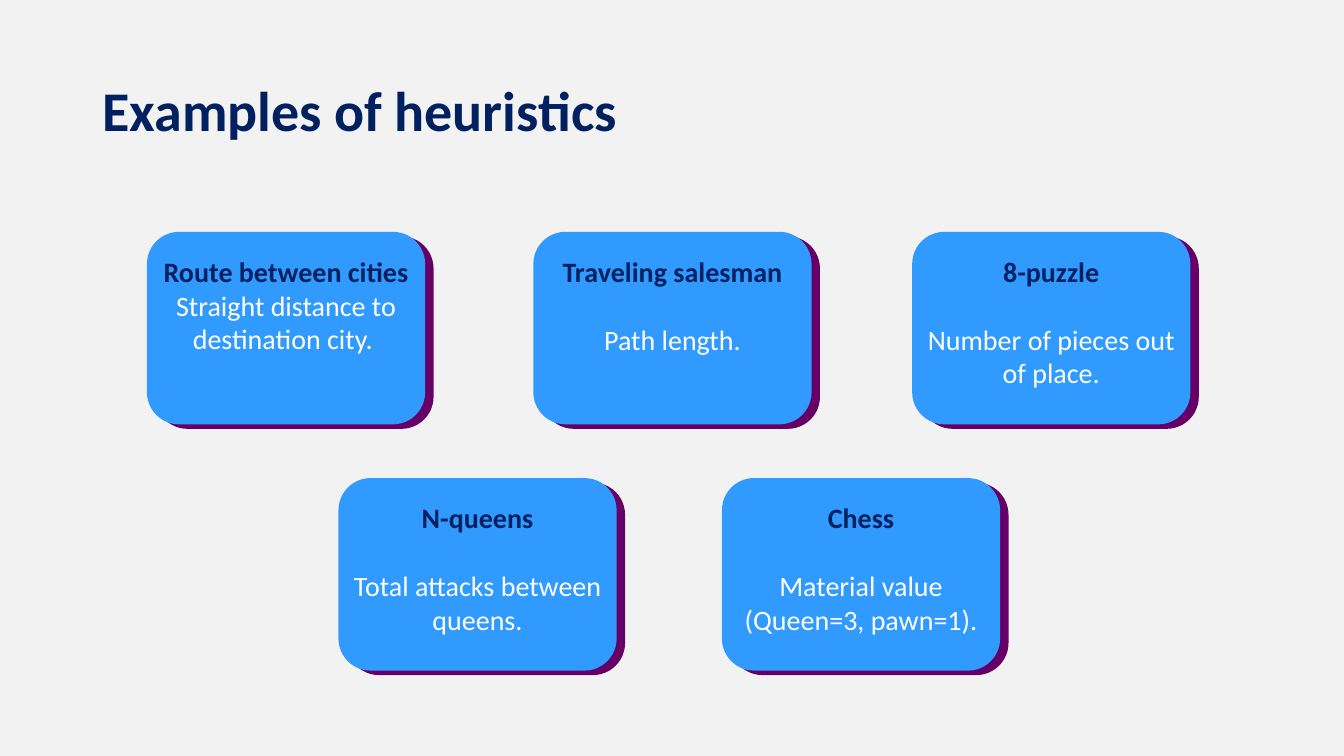
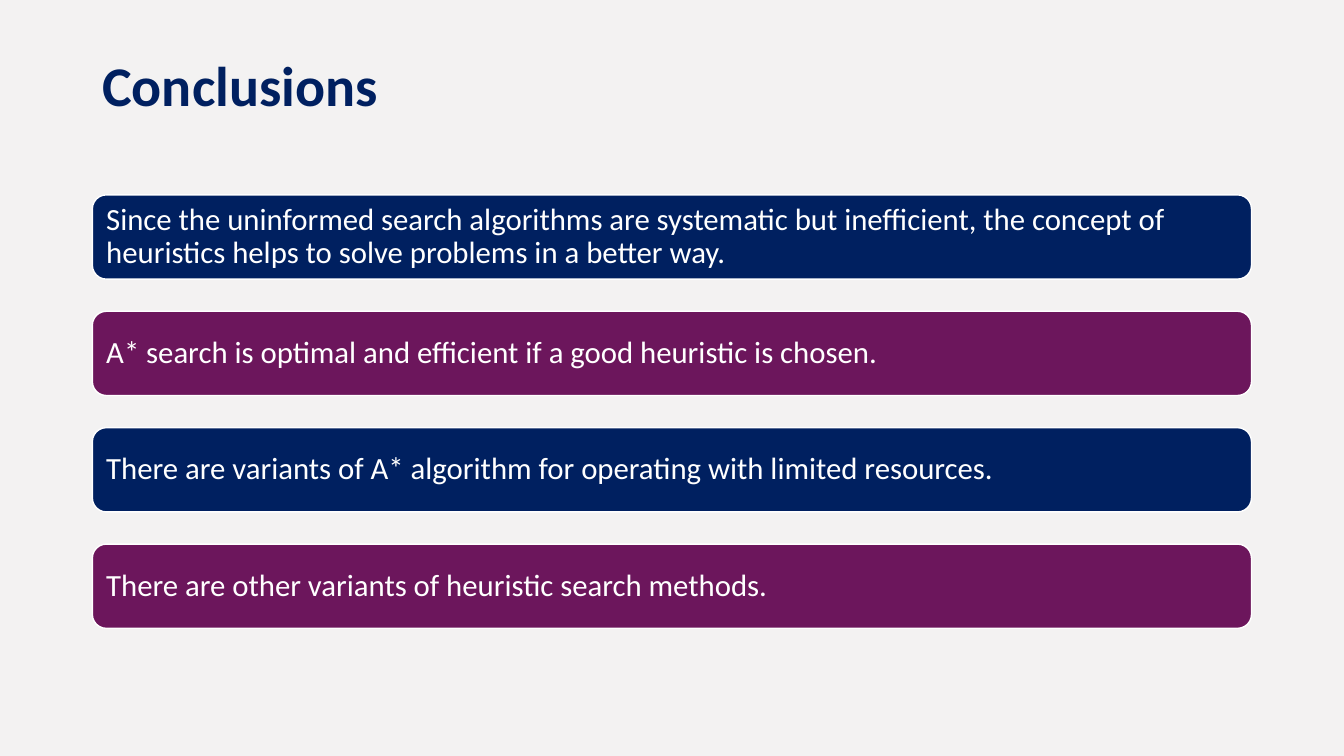
from pptx import Presentation
from pptx.dml.color import RGBColor
from pptx.enum.shapes import MSO_SHAPE
from pptx.enum.text import MSO_ANCHOR, PP_ALIGN
from pptx.util import Pt

FONT = "Calibri"
BACKGROUND = "F3F2F2"
NAVY = "002060"
BLUE = "309AFF"
PURPLE = "660066"
PLUM = "6C165C"
WHITE = "FFFFFF"


def paint(color_format, value):
    color_format.rgb = RGBColor.from_string(value)


def add_box(slide, left, top, width, height, color):
    shape = slide.shapes.add_shape(
        MSO_SHAPE.ROUNDED_RECTANGLE, Pt(left), Pt(top), Pt(width), Pt(height))
    shape.shadow.inherit = False
    shape.fill.solid()
    paint(shape.fill.fore_color, color)
    shape.line.fill.background()
    return shape


presentation = Presentation()
presentation.slide_width = Pt(960)
presentation.slide_height = Pt(540)

slides = []
for title, title_top, title_height in [
    ("Examples of heuristics", 28.8, 104.4),
    ("Conclusions", 29.5, 67.7),
]:
    slide = presentation.slides.add_slide(presentation.slide_layouts[6])
    slide.background.fill.solid()
    paint(slide.background.fill.fore_color, BACKGROUND)
    title_box = slide.shapes.add_textbox(Pt(66), Pt(title_top), Pt(519), Pt(title_height))
    text_frame = title_box.text_frame
    text_frame.word_wrap = True
    text_frame.vertical_anchor = MSO_ANCHOR.MIDDLE
    text_frame.text = title
    paragraph = text_frame.paragraphs[0]
    paragraph.line_spacing = 0.9
    paragraph.font.name = FONT
    paragraph.font.size = Pt(40)
    paragraph.font.bold = True
    paint(paragraph.font.color, NAVY)
    slides.append(slide)

heuristics_slide, conclusions_slide = slides

CARD_WIDTH, CARD_HEIGHT = 198.7, 137.5
FIRST_ROW, SECOND_ROW = 165.6, 341.5
LINE_GAP = 24.4
cards = [
    (105, FIRST_ROW, "Route between cities", "Straight distance to destination city. ", 0),
    (381, FIRST_ROW, "Traveling salesman", "Path length.", LINE_GAP),
    (651.6, FIRST_ROW, "8-puzzle", "Number of pieces out of place.", LINE_GAP),
    (241.8, SECOND_ROW, "N-queens", "Total attacks between queens.", LINE_GAP),
    (515.7, SECOND_ROW, "Chess", "Material value (Queen=3, pawn=1).", LINE_GAP),
]
for left, top, problem, heuristic, gap in cards:
    add_box(heuristics_slide, left + 6, top + 3.2, CARD_WIDTH, CARD_HEIGHT, PURPLE)
    card = add_box(heuristics_slide, left, top, CARD_WIDTH, CARD_HEIGHT, BLUE)
    text_frame = card.text_frame
    text_frame.word_wrap = True
    text_frame.vertical_anchor = MSO_ANCHOR.TOP
    text_frame.margin_left = text_frame.margin_right = Pt(3.5)
    text_frame.margin_top = Pt(9.4)
    text_frame.text = f"{problem}\n{heuristic}"
    for paragraph, color, bold, space in zip(
            text_frame.paragraphs, (NAVY, WHITE), (True, False), (0, gap)):
        paragraph.alignment = PP_ALIGN.CENTER
        paragraph.space_before = Pt(space)
        paragraph.font.name = FONT
        paragraph.font.size = Pt(20)
        paragraph.font.bold = bold
        paint(paragraph.font.color, color)

BAR_TOP, BAR_HEIGHT, BAR_GAP = 139.2, 60.2, 22.95
conclusions = [
    "Since the uninformed search algorithms are systematic but inefficient, "
    "the concept of heuristics helps to solve problems in a better way.",
    "A* search is optimal and efficient if a good heuristic is chosen.",
    "There are variants of A* algorithm for operating with limited resources.",
    "There are other variants of heuristic search methods.",
]
for index, conclusion in enumerate(conclusions):
    top = BAR_TOP + index * (BAR_HEIGHT + BAR_GAP)
    bar = add_box(conclusions_slide, 66, top, 828, BAR_HEIGHT, (NAVY, PLUM)[index % 2])
    bar.line.width = Pt(1)
    paint(bar.line.color, WHITE)
    text_frame = bar.text_frame
    text_frame.word_wrap = True
    text_frame.vertical_anchor = MSO_ANCHOR.MIDDLE
    text_frame.margin_left = text_frame.margin_right = Pt(7)
    text_frame.margin_top = text_frame.margin_bottom = Pt(7)
    text_frame.text = conclusion
    paragraph = text_frame.paragraphs[0]
    paragraph.alignment = PP_ALIGN.LEFT
    paragraph.line_spacing = 0.9
    paragraph.font.name = FONT
    paragraph.font.size = Pt(22)
    paint(paragraph.font.color, WHITE)

presentation.save("out.pptx")
